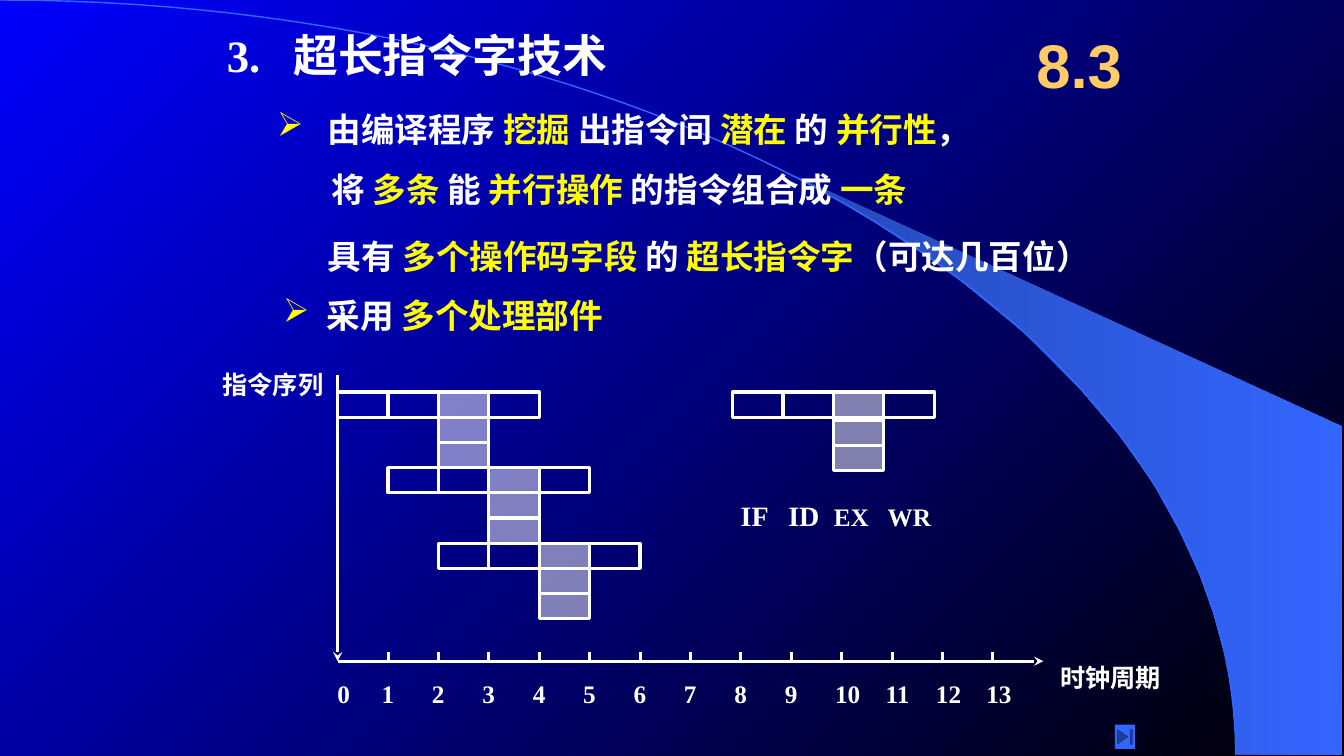
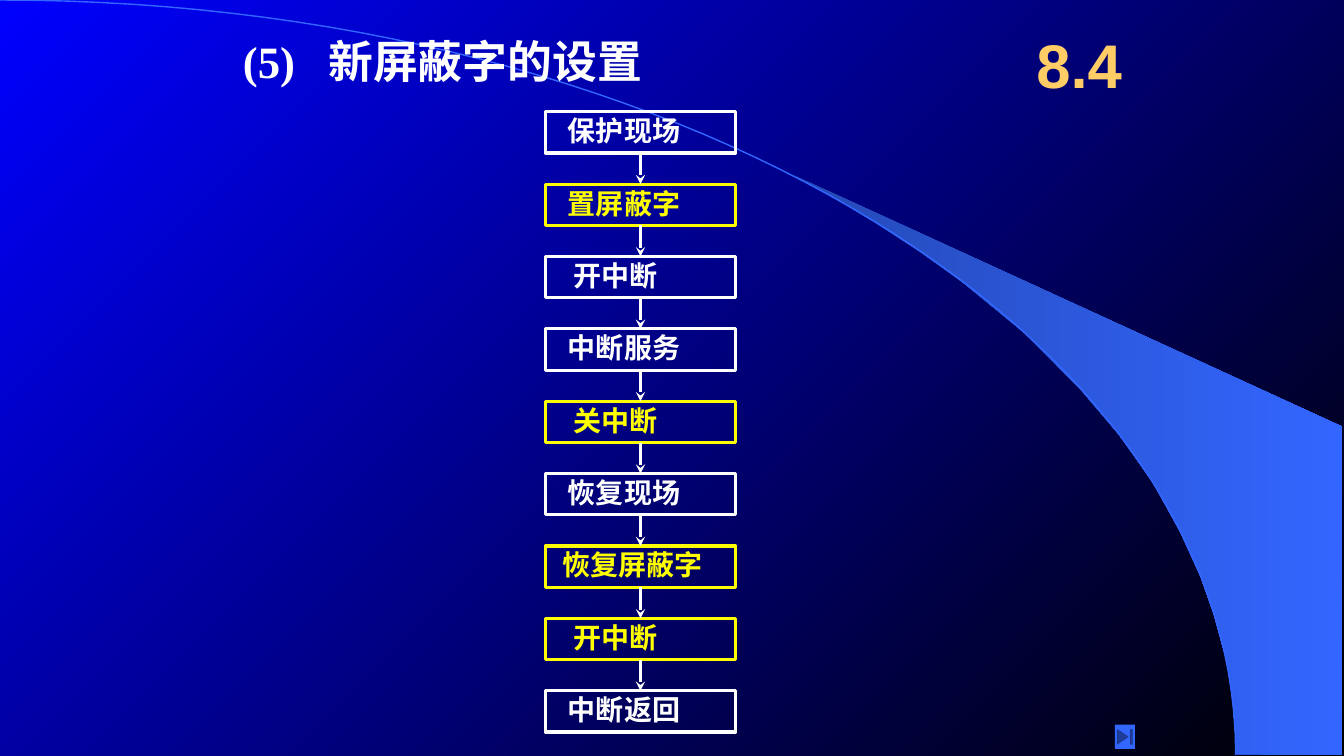
import itertools

import lxml.etree
import pptx
import pptx.dml.color
import pptx.enum.dml
import pptx.enum.shapes
import pptx.enum.text
import pptx.oxml.ns
import pptx.util

Pt = pptx.util.Pt
RGBColor = pptx.dml.color.RGBColor
SHAPE = pptx.enum.shapes.MSO_SHAPE
ANCHOR = pptx.enum.text.MSO_ANCHOR
ALIGN = pptx.enum.text.PP_ALIGN
qn = pptx.oxml.ns.qn

BLUE = RGBColor(0x00, 0x00, 0xFF)
BLACK = RGBColor(0x00, 0x00, 0x00)
WHITE = RGBColor(0xFF, 0xFF, 0xFF)
YELLOW = RGBColor(0xFF, 0xFF, 0x00)
GOLD = RGBColor(0xFF, 0xCC, 0x66)
SKY = RGBColor(0x33, 0x66, 0xFF)
STEEL = RGBColor(0x24, 0x49, 0xB6)
SERIF = "Times New Roman"
HAN = "Noto Sans CJK SC"
LINE_WIDTH = Pt(2.25)


def write(shape, pieces, size, colors=(WHITE, YELLOW), name=SERIF, align=ALIGN.LEFT,
          margins=(0, 3.6, 0, 3.6), anchor=ANCHOR.MIDDLE, spacing=1.0, hanging=0, tabs=()):
    left, top, right, bottom = map(Pt, margins)
    frame_format = {"word_wrap": True, "auto_size": pptx.enum.text.MSO_AUTO_SIZE.NONE,
                    "vertical_anchor": anchor, "margin_left": left, "margin_top": top,
                    "margin_right": right, "margin_bottom": bottom}
    for key, value in frame_format.items():
        setattr(shape.text_frame, key, value)
    para = shape.text_frame.paragraphs[0]
    para.alignment = align
    para.line_spacing = spacing
    settings = para._p.get_or_add_pPr()
    if hanging:
        settings.set("marL", str(Pt(hanging)))
        settings.set("indent", str(-Pt(hanging)))
        bullet_color = lxml.etree.SubElement(settings, qn("a:buClr"))
        lxml.etree.SubElement(bullet_color, qn("a:srgbClr"), val=str(YELLOW))
        lxml.etree.SubElement(settings, qn("a:buChar"), char="➢")
    if tabs:
        stops = lxml.etree.SubElement(settings, qn("a:tabLst"))
        for position in tabs:
            lxml.etree.SubElement(stops, qn("a:tab"), pos=str(Pt(position)), algn="l")
    for piece, color in zip(pieces, itertools.cycle(colors)):
        span = para.add_run()
        span.text = piece
        span.font.color.rgb = color
        for key, value in {"name": name, "size": Pt(size), "bold": True}.items():
            setattr(span.font, key, value)
        lxml.etree.SubElement(span._r.get_or_add_rPr(), qn("a:ea"), typeface=HAN)


def connect(page, x1, y1, x2, y2, arrow=False):
    line = page.shapes.add_connector(pptx.enum.shapes.MSO_CONNECTOR.STRAIGHT,
                                     Pt(x1), Pt(y1), Pt(x2), Pt(y2))
    line.line.color.rgb = WHITE
    line.line.width = LINE_WIDTH
    if arrow:
        lxml.etree.SubElement(line.line._get_or_add_ln(), qn("a:tailEnd"), type="stealth")
    lxml.etree.SubElement(line.element.spPr, qn("a:effectLst"))
    return line


deck = pptx.Presentation()
deck.slide_width, deck.slide_height = Pt(960), Pt(540)
layout = deck.slide_layouts[5]
for holder in list(layout.placeholders):
    if holder.placeholder_format.idx:
        holder.element.getparent().remove(holder.element)

vliw_page = deck.slides.add_slide(layout)
mask_page = deck.slides.add_slide(layout)

swoosh_points = [
    (883.4, 538.6), (958.3, 539.3), (958.3, 304.6), (565.9, 124.6), (599, 143.3),
    (626.4, 159.8), (657.4, 180), (687.6, 201.6), (731.5, 237.6), (770.4, 276.5),
    (799.2, 310.3), (823.7, 344.9), (843.1, 380.2), (857.5, 411.8), (866.9, 438.5),
    (876.2, 472.3), (880.6, 501.1)]
arc_points = []
for step in range(61):
    t = step / 60
    u = 1 - t
    arc_points.append((3 * u * u * t * 487.4 + (3 * u * t * t + t ** 3) * 882.7,
                       3 * u * t * t * 241.2 + t ** 3 * 539.3))

outlines = []
for points, closed in ((swoosh_points, True), (arc_points, False)):
    corners = [(Pt(x), Pt(y)) for x, y in points]
    builder = vliw_page.shapes.build_freeform(*corners[0])
    builder.add_line_segments(corners[1:], close=closed)
    outline = builder.convert_to_shape()
    outline.shadow.inherit = False
    outlines.append(outline)
swoosh, arc = outlines
swoosh.line.fill.background()
arc.fill.background()
arc.line.color.rgb = SKY
arc.line.width = Pt(1)

backdrop = deck.slide_master.background.fill
for fill, colors, angle in ((backdrop, (BLUE, BLACK), 315), (swoosh.fill, (STEEL, SKY), 0)):
    fill.gradient()
    fill.gradient_angle = angle
    for stop, color in zip(fill.gradient_stops, colors):
        stop.color.rgb = color
for outline in outlines:
    layout.shapes.element.append(outline.element)

headings = [
    (vliw_page, "8.3", ("3.", "超长指令字技术"), (162, 18, 374.4, 42.5), 47.5),
    (mask_page, "8.4", ("(5)", "新屏蔽字的设置"), (173.5, 26, 561.6, 34), 61)]
for page, section, words, place, tab in headings:
    title = page.shapes.title
    title.left, title.top, title.width, title.height = map(Pt, place)
    write(title, ["\t".join(words)], 32, tabs=[tab])
    box = page.shapes.add_textbox(Pt(725.8), Pt(12.2), Pt(90), Pt(66.2))
    write(box, [section], 44, colors=[GOLD], name="Arial", align=ALIGN.CENTER,
          margins=(7.2, 3.6, 7.2, 3.6))
    button = page.shapes.add_shape(SHAPE.ACTION_BUTTON_END, Pt(796.3), Pt(517.7), Pt(14.4), Pt(17.3))
    button.shadow.inherit = False
    button.fill.solid()
    button.fill.fore_color.rgb = SKY
    button.line.fill.background()

statements = [
    ((198, 66.2, 520, 41.8), 36, 1.35,
     ["由编译程序 ", "挖掘 ", "出指令间 ", "潜在 ", "的 ", "并行性", "，"]),
    ((236.9, 108.7, 480, 42.5), 0, 1.35,
     ["将 ", "多条 ", "能 ", "并行操作 ", "的指令组合成 ", "一条"]),
    ((234, 156.2, 618.5, 54), 0, 1.0,
     ["具有 ", "多个操作码字段 ", "的 ", "超长指令字", "（可达几百位）"]),
    ((202.3, 203.8, 473.8, 41.8), 31, 1.0, ["采用 ", "多个处理部件"])]
for place, hanging, spacing, pieces in statements:
    box = vliw_page.shapes.add_textbox(*map(Pt, place))
    write(box, pieces, 24, hanging=hanging, spacing=spacing)

CYCLE, ROW = 36, 18
axis_left, axis_top, axis_bottom = 241.2, 267.8, 472.3
pipelines = [(axis_left + CYCLE * n, 280 + ROW * 3 * n, 0) for n in range(3)]
pipelines.append((523.4, 280, 2))
for left, top, gap in pipelines:
    cells = [(left + CYCLE * stage, top, stage == 2) for stage in range(4)]
    cells += [(left + CYCLE * 2, top + gap + ROW * unit, True) for unit in (1, 2)]
    for x, y, execute in cells:
        cell = vliw_page.shapes.add_shape(SHAPE.RECTANGLE, Pt(x), Pt(y), Pt(CYCLE), Pt(ROW))
        cell.shadow.inherit = False
        cell.line.color.rgb = WHITE
        cell.line.width = LINE_WIDTH
        if execute:
            cell.fill.solid()
            cell.fill.fore_color.rgb = WHITE
            tint = cell.element.spPr.find(qn("a:solidFill")).find(qn("a:srgbClr"))
            lxml.etree.SubElement(tint, qn("a:alpha"), val="50000")
        else:
            cell.fill.background()

connect(vliw_page, axis_left, axis_top, axis_left, axis_bottom, arrow=True)
connect(vliw_page, axis_left, axis_bottom, axis_left + 504, axis_bottom, arrow=True)
for tick in range(1, 14):
    x = axis_left + CYCLE * tick
    connect(vliw_page, x, axis_bottom - 6.5, x, axis_bottom)

captions = [
    ((234, 481, 496, 29), ["\t".join(map(str, range(14)))], [CYCLE * n - 4.5 for n in range(1, 14)]),
    ((522, 352.8, 151.2, 31), ["IF\tID\t", "EX\tWR"], [34, 66.5, 105]),
    ((750.2, 469.4, 90, 29), ["时钟周期"], []),
    ((151.9, 260.6, 90, 29), ["指令序列"], [])]
for place, pieces, tabs in captions:
    box = vliw_page.shapes.add_textbox(*map(Pt, place))
    write(box, pieces, 18, colors=[WHITE], margins=(7.2, 3.6, 7.2, 3.6), anchor=ANCHOR.TOP, tabs=tabs)
    if len(pieces) == 2:
        box.text_frame.paragraphs[0].runs[0].font.size = Pt(20)

flow_steps = [
    ("保护现场", WHITE), ("置屏蔽字", YELLOW), ("开中断", WHITE),
    ("中断服务", WHITE), ("关中断", YELLOW), ("恢复现场", WHITE),
    ("恢复屏蔽字", YELLOW), ("开中断", YELLOW), ("中断返回", WHITE)]
flow_boxes = []
for index, (label, color) in enumerate(flow_steps):
    box = mask_page.shapes.add_shape(SHAPE.RECTANGLE, Pt(389.5), Pt(79.8 + 51.7 * index),
                                     Pt(136), Pt(29.5))
    box.shadow.inherit = False
    box.fill.background()
    box.line.color.rgb = color
    box.line.width = LINE_WIDTH
    write(box, [label], 20, colors=[color], name=HAN, anchor=ANCHOR.TOP,
          margins=(33 - 4.2 * len(label), 1.4, 0, 3.6))
    flow_boxes.append(box)
for upper, lower in zip(flow_boxes, flow_boxes[1:]):
    arrow = connect(mask_page, 0, 0, 0, 0, arrow=True)
    arrow.begin_connect(upper, 2)
    arrow.end_connect(lower, 0)

deck.save("out.pptx")
